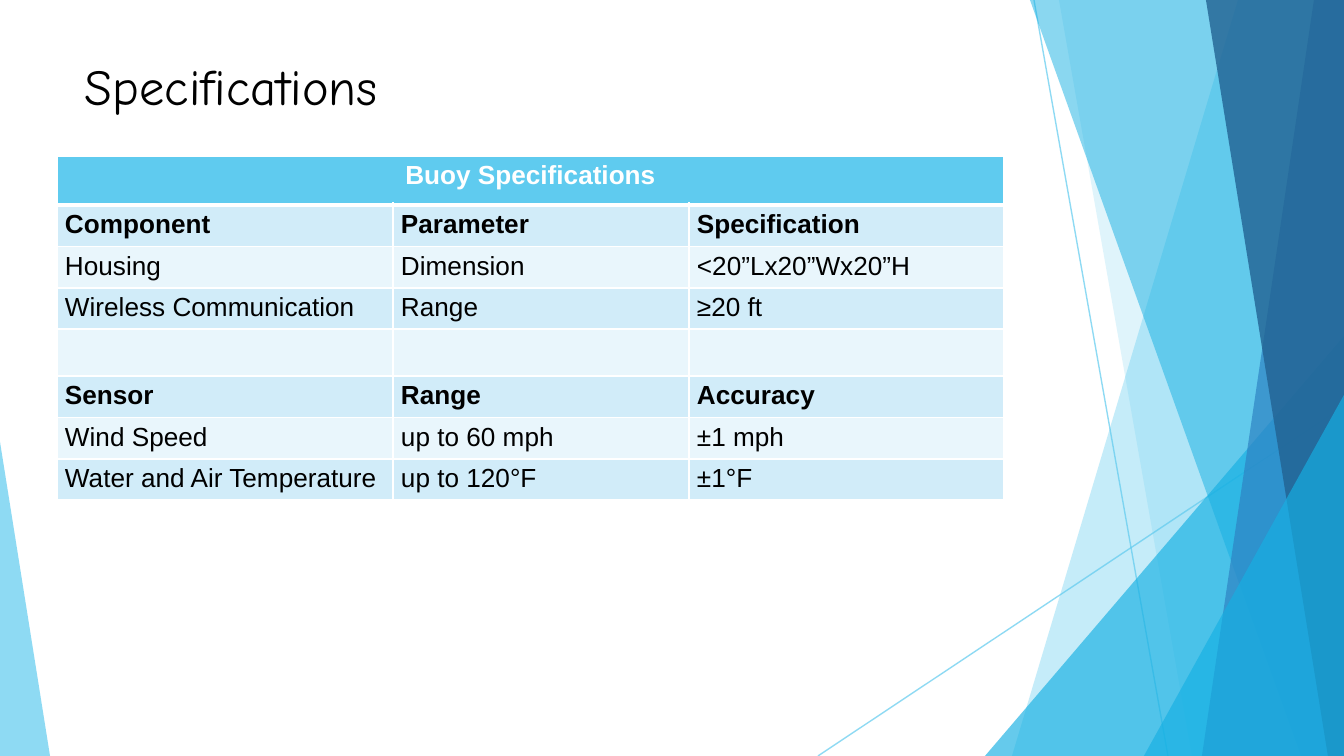
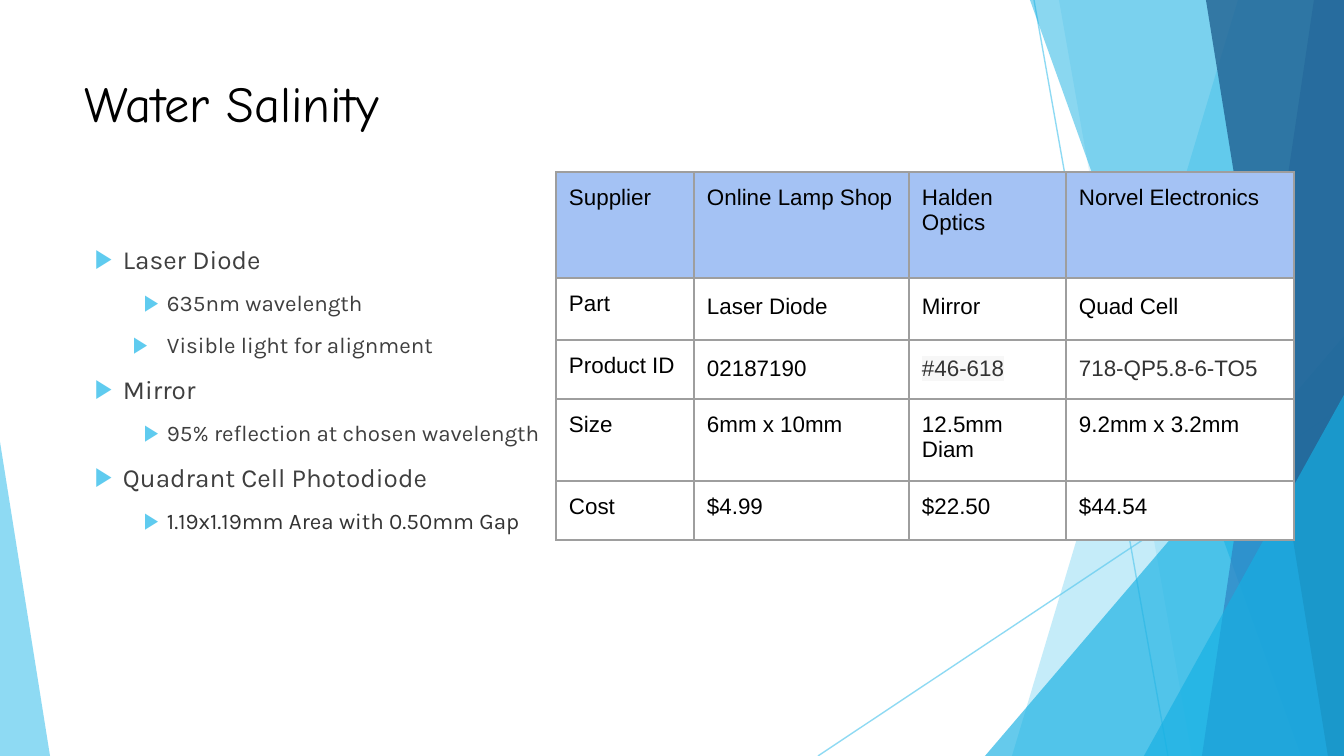
import pptx
import pptx.util
import pptx.dml.color
import pptx.enum.shapes
import pptx.enum.text
import pptx.oxml.ns
from lxml import etree

WIDTH, HEIGHT = 1344, 756
SCALE = 9144000 / WIDTH
COLORS = {
    "sky": "5FCBEF", "cyan": "16B0E3", "blue": "2E83C3", "navy": "226292",
    "white": "FFFFFF", "black": "000000", "body": "3F3F3F", "dark": "333333",
    "band": "D1ECF9", "pale": "E9F6FC", "header": "A4C2F4", "grid": "9E9E9E",
    "highlight": "F7F7F7",
}
TITLE_FONT, BODY_FONT, TABLE_FONT = "Comic Neue", "Karla", "Arial"

RAYS = [((1034, 0), (1168, HEIGHT)), ((WIDTH, 406), (818, HEIGHT))]
FACETS = [
    ("band", 1238, 1012, "sky", 36),
    ("band", 1059, 1192, "sky", 20),
    ("triangle", (985, 336, 359, 420), 1, "cyan", 66),
    ("band", 1030, 1301, "cyan", 50),
    ("band", 1314, 1202, "blue", 70),
    ("band", 1206, 1328, "navy", 80),
    ("triangle", (1144, 395, 200, 361), 1, "cyan", 66),
    ("triangle", (0, 442, 50, 314), 0, "sky", 70),
]

SPECIFICATIONS = [
    ("Buoy Specifications", "", ""),
    ("Component", "Parameter", "Specification"),
    ("Housing", "Dimension", "<20”Lx20”Wx20”H"),
    ("Wireless Communication", "Range", "≥20 ft"),
    ("", "", ""),
    ("Sensor", "Range", "Accuracy"),
    ("Wind Speed", "up to 60 mph", "±1 mph"),
    ("Water and Air Temperature", "up to 120°F", "±1°F"),
]
HEADING_ROWS = (0, 1, 5)

SUPPLIERS = [
    ("Supplier", "Online Lamp Shop", "Halden Optics", "Norvel Electronics"),
    ("Part", "Laser Diode", "Mirror", "Quad Cell"),
    ("Product ID", "02187190", "#46-618", "718-QP5.8-6-TO5"),
    ("Size", "6mm x 10mm", "12.5mm Diam", "9.2mm x 3.2mm"),
    ("Cost", "$4.99", "$22.50", "$44.54"),
]

BULLETS = [
    (0, "Laser Diode", 28, "body"),
    (1, "635nm wavelength", 23, "body"),
    (1, "Visible light for alignment", 34, "body"),
    (0, "Mirror", 28, "body"),
    (1, "95% reflection at chosen wavelength", 23, "body"),
    (0, "Quadrant Cell Photodiode", 28, "body"),
    (1, "1.19x1.19mm Area with 0.50mm Gap", 23, "dark"),
]


def px(length):
    return round(length * SCALE)


def rgb(color):
    return pptx.dml.color.RGBColor.from_string(COLORS[color])


def add_element(parent, tag, **attributes):
    return etree.SubElement(parent, pptx.oxml.ns.qn(tag), attributes)


def set_alpha(shape, percent):
    for color in shape._element.spPr.iter(pptx.oxml.ns.qn("a:srgbClr")):
        add_element(color, "a:alpha", val=str(percent * 1000))


def format_font(font, name, size, color, bold=False):
    font.name = name
    font.size = pptx.util.Pt(size)
    font.bold = bold
    font.color.rgb = rgb(color)


def set_margins(frame, horizontal, vertical):
    frame.margin_left = frame.margin_right = px(horizontal)
    frame.margin_top = frame.margin_bottom = px(vertical)


def add_text_frame(slide, box):
    frame = slide.shapes.add_textbox(*map(px, box)).text_frame
    frame.word_wrap = True
    frame.vertical_anchor = pptx.enum.text.MSO_ANCHOR.TOP
    set_margins(frame, 9, 5)
    return frame


def add_title(slide, box, text):
    frame = add_text_frame(slide, box)
    frame.text = text
    format_font(frame.paragraphs[0].runs[0].font, TITLE_FONT, 27, "black")


def add_ray(slide, start, end):
    ray = slide.shapes.add_connector(
        pptx.enum.shapes.MSO_CONNECTOR.STRAIGHT, *map(px, start + end))
    ray.line.color.rgb = rgb("sky")
    ray.line.width = pptx.util.Pt(0.75)
    set_alpha(ray, 70)
    add_element(ray._element.spPr, "a:effectLst")


def add_band(slide, top_x, bottom_x):
    builder = slide.shapes.build_freeform(top_x, 0, SCALE)
    builder.add_line_segments([(WIDTH, 0), (WIDTH, HEIGHT), (bottom_x, HEIGHT)])
    return builder.convert_to_shape()


def add_triangle(slide, box, apex):
    shape = slide.shapes.add_shape(
        pptx.enum.shapes.MSO_SHAPE.ISOSCELES_TRIANGLE, *map(px, box))
    shape.adjustments[0] = apex
    return shape


def add_backdrop(slide):
    for start, end in RAYS:
        add_ray(slide, start, end)
    builders = {"band": add_band, "triangle": add_triangle}
    for kind, first, second, color, alpha in FACETS:
        shape = builders[kind](slide, first, second)
        shape.shadow.inherit = False
        shape.fill.solid()
        shape.fill.fore_color.rgb = rgb(color)
        shape.line.fill.background()
        set_alpha(shape, alpha)


def set_borders(cell, color, width, **side_widths):
    properties = cell._tc.get_or_add_tcPr()
    for side in "LRTB":
        points = side_widths.get(side, width)
        line = add_element(properties, "a:ln" + side, w=str(pptx.util.Pt(points)))
        fill = add_element(line, "a:solidFill")
        add_element(fill, "a:srgbClr", val=COLORS[color])


def add_table(slide, origin, columns, rows):
    box = (*origin, sum(columns), sum(rows))
    table = slide.shapes.add_table(len(rows), len(columns), *map(px, box)).table
    table.first_row = table.horz_banding = False
    for column, width in zip(table.columns, columns):
        column.width = px(width)
    for row, height in zip(table.rows, rows):
        row.height = px(height)
    return table


def fill_cell(cell, text, fill, margins, size, color="black", bold=False):
    cell.fill.solid()
    cell.fill.fore_color.rgb = rgb(fill)
    set_margins(cell, *margins)
    cell.vertical_anchor = pptx.enum.text.MSO_ANCHOR.TOP
    paragraph = cell.text_frame.paragraphs[0]
    if text:
        paragraph.text = text
        format_font(paragraph.runs[0].font, TABLE_FONT, size, color, bold)
    else:
        paragraph.font.size = pptx.util.Pt(size)
    return paragraph


def add_specification_table(slide, origin):
    table = add_table(slide, origin, [336, 296, 315], [49, 41, 41, 41, 47, 41, 41, 41])
    table.cell(0, 0).merge(table.cell(0, 2))
    for row, texts in enumerate(SPECIFICATIONS):
        fill = "sky" if row == 0 else "band" if row % 2 else "pale"
        color = "white" if row == 0 else "black"
        for column, text in enumerate(texts):
            cell = table.cell(row, column)
            set_borders(cell, "white", 1, **{0: {"B": 3}, 1: {"T": 3}}.get(row, {}))
            paragraph = fill_cell(cell, text, fill, (8, 5), 14, color, row in HEADING_ROWS)
            if row == 0:
                paragraph.alignment = pptx.enum.text.PP_ALIGN.CENTER


def highlight_run(run, color):
    highlight = etree.Element(pptx.oxml.ns.qn("a:highlight"))
    add_element(highlight, "a:srgbClr", val=COLORS[color])
    run._r.rPr.find(pptx.oxml.ns.qn("a:solidFill")).addnext(highlight)


def add_supplier_table(slide, origin):
    table = add_table(slide, origin, [138, 215, 157, 228], [106, 62, 59, 82, 59])
    for row, texts in enumerate(SUPPLIERS):
        for column, text in enumerate(texts):
            cell = table.cell(row, column)
            set_borders(cell, "grid", 0.75)
            color = "dark" if row == 2 and column >= 2 else "black"
            paragraph = fill_cell(cell, text, "white" if row else "header", (13, 13), 12, color)
            if row in (1, 2) and column:
                paragraph.line_spacing = 1.12
    highlight_run(table.cell(2, 2).text_frame.paragraphs[0].runs[0], "highlight")


def add_bullet(paragraph, indent, hanging):
    properties = paragraph._p.get_or_add_pPr()
    properties.set("marL", str(px(indent)))
    properties.set("indent", str(-px(hanging)))
    color = add_element(properties, "a:buClr")
    add_element(color, "a:srgbClr", val=COLORS["sky"])
    add_element(properties, "a:buSzPct", val="100000")
    add_element(properties, "a:buFont", typeface=TABLE_FONT)
    add_element(properties, "a:buChar", char="▶")


def add_bullet_list(slide, box):
    frame = add_text_frame(slide, box)
    for index, (level, text, hanging, color) in enumerate(BULLETS):
        paragraph = frame.add_paragraph() if index else frame.paragraphs[0]
        paragraph.text = text
        paragraph.level = level
        add_bullet(paragraph, (38, 82)[level], hanging)
        if index:
            paragraph.space_before = pptx.util.Pt(8)
        format_font(paragraph.runs[0].font, BODY_FONT, (14, 12)[level], color)


def add_slide(presentation):
    slide = presentation.slides.add_slide(presentation.slide_layouts[6])
    add_backdrop(slide)
    return slide


def build_specifications(presentation):
    slide = add_slide(presentation)
    add_title(slide, (76, 50, 1158, 84), "Specifications")
    add_specification_table(slide, (57, 156))


def build_water_salinity(presentation):
    slide = add_slide(presentation)
    add_title(slide, (76, 67, 948, 145), "Water Salinity")
    add_bullet_list(slide, (76, 238, 512, 446))
    add_supplier_table(slide, (556, 172))


def main():
    presentation = pptx.Presentation()
    presentation.slide_width = px(WIDTH)
    presentation.slide_height = px(HEIGHT)
    build_specifications(presentation)
    build_water_salinity(presentation)
    presentation.save("out.pptx")


if __name__ == "__main__":
    main()
